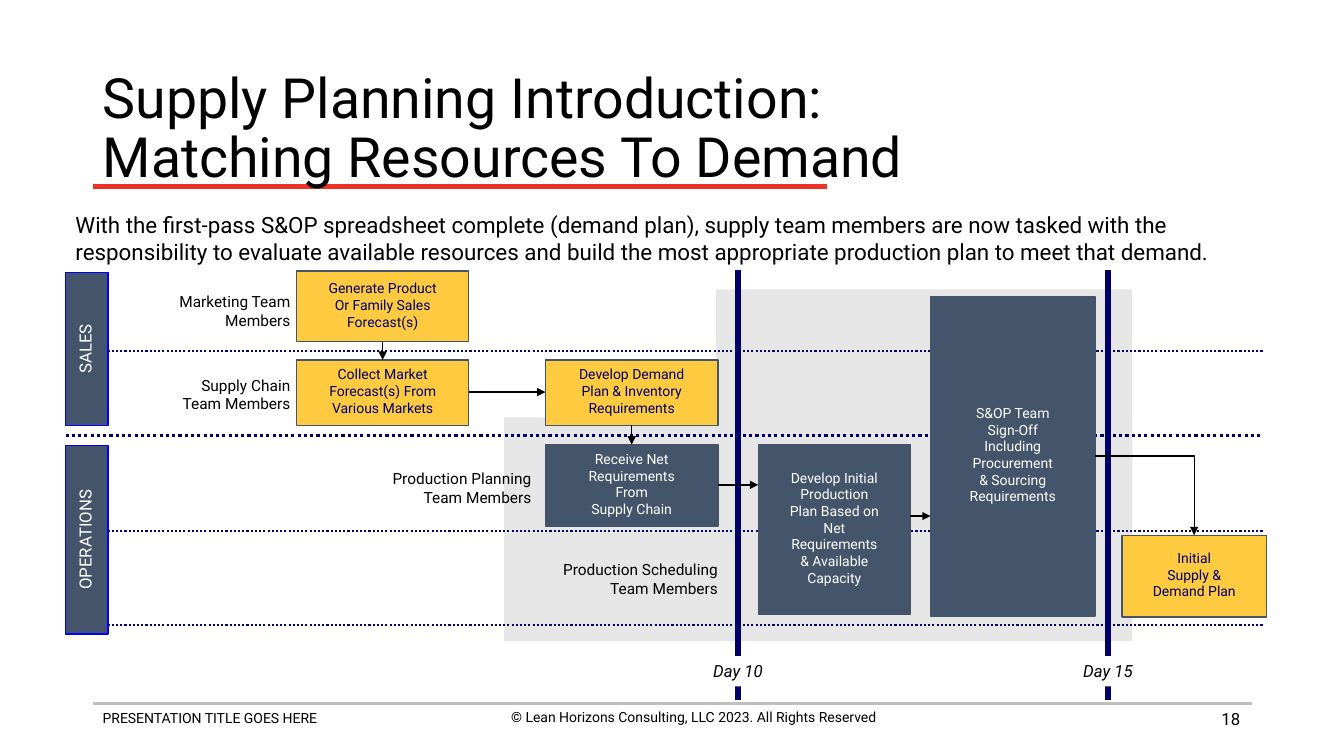
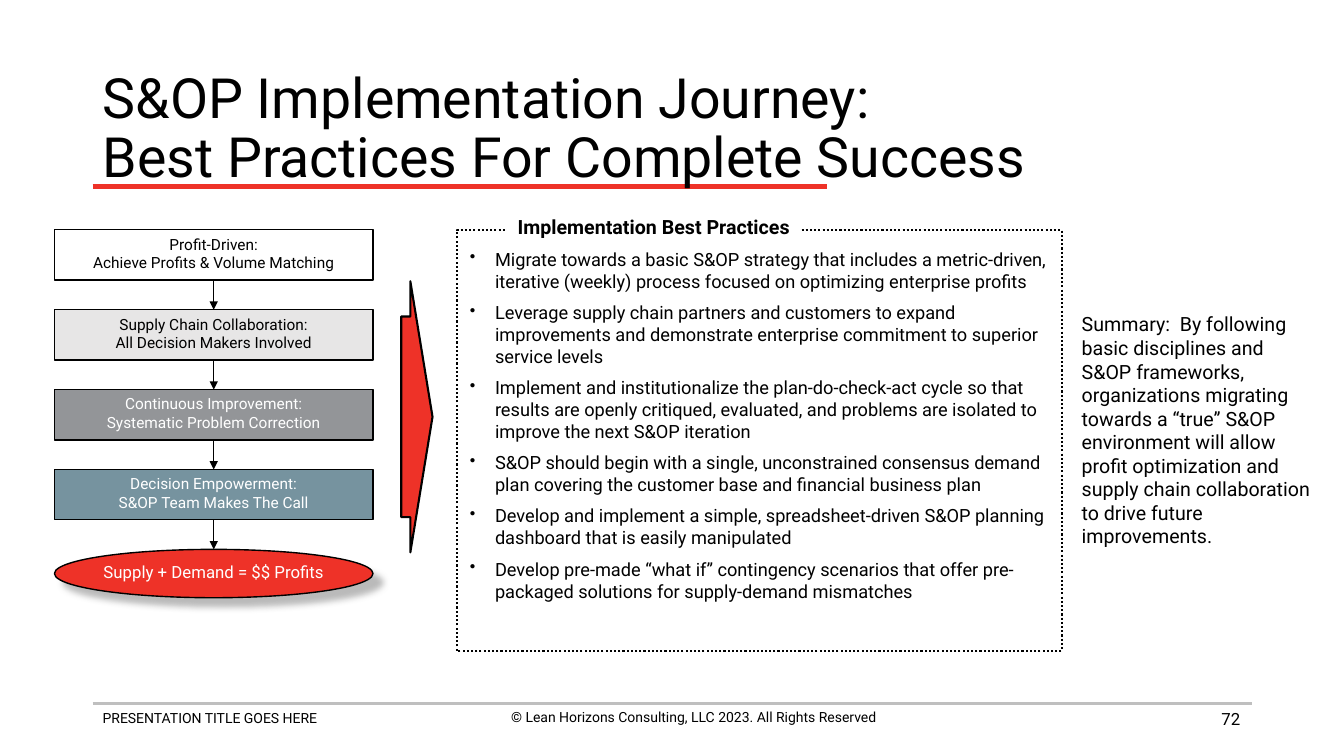
from dataclasses import dataclass

from lxml import etree
from pptx import Presentation
from pptx.dml.color import RGBColor
from pptx.enum.dml import MSO_LINE
from pptx.enum.shapes import MSO_CONNECTOR, MSO_SHAPE
from pptx.enum.text import MSO_ANCHOR, PP_ALIGN
from pptx.oxml.ns import qn
from pptx.util import Inches, Pt

LEFT, CENTER, RIGHT = PP_ALIGN.LEFT, PP_ALIGN.CENTER, PP_ALIGN.RIGHT
TOP, MIDDLE = MSO_ANCHOR.TOP, MSO_ANCHOR.MIDDLE
RECTANGLE, OVAL, ARROW = MSO_SHAPE.RECTANGLE, MSO_SHAPE.OVAL, MSO_SHAPE.RIGHT_ARROW
STRAIGHT, ELBOW = MSO_CONNECTOR.STRAIGHT, MSO_CONNECTOR.ELBOW
DOTTED = MSO_LINE.ROUND_DOT


@dataclass(frozen=True)
class Theme:
    font: str = "Roboto"
    black: str = "000000"
    white: str = "FFFFFF"
    red: str = "EE3228"
    navy: str = "000066"
    blue: str = "0000FF"
    slate: str = "44546A"
    yellow: str = "FDCA40"
    pale: str = "E7E6E6"
    gray: str = "939598"
    steel: str = "76939F"
    rule: str = "BFBFBF"
    shadow: str = "777777"
    title: float = 39.6
    intro: float = 16
    heading: float = 14
    bullet: float = 13
    label: float = 12
    step: float = 11
    small: float = 10
    line_height: float = 1.17


THEME = Theme()
WIDTH, HEIGHT = 13.33, 7.5
MARGIN, CONTENT_WIDTH = 0.92, 11.5

FOOTER = "PRESENTATION TITLE GOES HERE"
COPYRIGHT = "© Lean Horizons Consulting, LLC 2023. All Rights Reserved"

SUPPLY_TITLE = "Supply Planning Introduction:\vMatching Resources To Demand"
SUPPLY_INTRO = (
    "With the first-pass S&OP spreadsheet complete (demand plan), supply team members "
    "are now tasked with the responsibility to evaluate available resources and build "
    "the most appropriate production plan to meet that demand."
)
LANE_SPAN = (0.65, 12.53)
LANE_RULES = [(3.48, 1.5), (4.32, 2.25), (5.27, 1.5), (6.2, 1.5)]
LANE_BARS = [("SALES", 2.7, 1.52), ("OPERATIONS", 4.42, 1.87)]
LANE_BAR_WIDTH = 0.42
PANELS = [(7.1, 2.87, 4.13, 2.4), (5, 4.14, 6.23, 2.22)]
TEAM_LABELS = [
    ("Marketing Team\nMembers", 2.98, 2.85),
    ("Supply Chain\nTeam Members", 2.98, 3.68),
    ("Production Planning\nTeam Members", 5.37, 4.61),
    ("Production Scheduling\nTeam Members", 7.22, 5.51),
]
TEAM_LABEL_SIZE = (2.4, 0.47)
COLUMNS = {
    "forecast": (2.94, 1.71),
    "demand": (5.41, 1.71),
    "production": (7.52, 1.51),
    "approval": (9.23, 1.63),
    "result": (11.13, 1.43),
}
ROWS = {
    "marketing": (2.69, 0.7),
    "chain": (3.57, 0.65),
    "planning": (4.41, 0.81),
    "scheduling": (5.31, 0.81),
    "operations": (4.41, 1.68),
    "all": (2.94, 3.17),
}
SALES_STYLE = (THEME.yellow, THEME.navy)
OPERATIONS_STYLE = (THEME.slate, THEME.white)
ACTIVITIES = {
    "generate": ("forecast", "marketing", SALES_STYLE,
                 "Generate Product\nOr Family Sales\nForecast(s)"),
    "collect": ("forecast", "chain", SALES_STYLE,
                "Collect Market\nForecast(s) From\nVarious Markets"),
    "develop": ("demand", "chain", SALES_STYLE,
                "Develop Demand\nPlan & Inventory\nRequirements"),
    "receive": ("demand", "planning", OPERATIONS_STYLE,
                "Receive Net\nRequirements\nFrom\nSupply Chain"),
    "initial": ("production", "operations", OPERATIONS_STYLE,
                "Develop Initial\nProduction\nPlan Based on\nNet\nRequirements\n& Available\nCapacity"),
    "approve": ("approval", "all", OPERATIONS_STYLE,
                "S&OP Team\nSign-Off\nIncluding\nProcurement\n& Sourcing\nRequirements"),
    "plan": ("result", "scheduling", SALES_STYLE, "Initial\nSupply &\nDemand Plan"),
}
DOWN_LINKS = [("generate", "collect"), ("develop", "receive")]
RIGHT_LINKS = [("collect", "develop", 3.89), ("receive", "initial", 4.81),
               ("initial", "approve", 5.12)]
ELBOW_LINK = ("approve", "plan")
MILESTONES = [("Day 10", 7.32), ("Day 15", 10.99)]

JOURNEY_TITLE = "S&OP Implementation Journey:\vBest Practices For Complete Success"
STEPS = [
    ("Profit-Driven:\nAchieve Profits & Volume Matching", THEME.white, THEME.black),
    ("Supply Chain Collaboration:\nAll Decision Makers Involved", THEME.pale, THEME.black),
    ("Continuous Improvement:\nSystematic Problem Correction", THEME.gray, THEME.white),
    ("Decision Empowerment:\nS&OP Team Makes The Call", THEME.steel, THEME.white),
]
OUTCOME = "Supply + Demand = $$ Profits"
STEP_LEFT, STEP_WIDTH, STEP_HEIGHT = 0.54, 3.16, 0.5
STEP_TOP, OUTCOME_TOP, OUTCOME_HEIGHT = 2.28, 5.45, 0.48
PRACTICES_HEADING = "Implementation Best Practices"
PRACTICES = [
    "Migrate towards a basic S&OP strategy that includes a metric-driven, iterative "
    "(weekly) process focused on optimizing enterprise profits",
    "Leverage supply chain partners and customers to expand improvements and "
    "demonstrate enterprise commitment to superior service levels",
    "Implement and institutionalize the plan-do-check-act cycle so that results are "
    "openly critiqued, evaluated, and problems are isolated to improve the next S&OP iteration",
    "S&OP should begin with a single, unconstrained consensus demand plan covering the "
    "customer base and financial business plan",
    "Develop and implement a simple, spreadsheet-driven S&OP planning dashboard that "
    "is easily manipulated",
    "Develop pre-made “what if” contingency scenarios that offer pre-packaged "
    "solutions for supply-demand mismatches",
]
SUMMARY = (
    "Summary:\u0020 By following basic disciplines and S&OP frameworks, organizations "
    "migrating towards a “true” S&OP environment will allow profit optimization and "
    "supply chain collaboration to drive future improvements."
).replace("\u0020 ", "  ")


def rgb(color):
    return RGBColor.from_string(color)


def add_child(parent, tag, **attributes):
    return etree.SubElement(parent, qn(tag), attributes)


def write(shape, paragraphs, size, color=THEME.black, align=LEFT, anchor=TOP, wrap=True,
          spacing=None, gap=0, bold=False, italic=False, bullets=False):
    frame = shape.text_frame
    frame.word_wrap = wrap
    frame.vertical_anchor = anchor
    for index, text in enumerate(paragraphs):
        paragraph = frame.paragraphs[0] if index == 0 else frame.add_paragraph()
        paragraph.text = text
        paragraph.alignment = align
        if bullets:
            properties = paragraph._p.get_or_add_pPr()
            properties.set("marL", str(Inches(0.25)))
            properties.set("indent", str(-Inches(0.25)))
            add_child(properties, "a:buSzPct", val="90000")
            add_child(properties, "a:buChar", char="•")
        if spacing:
            paragraph.line_spacing = spacing
        if gap and index:
            paragraph.space_before = Pt(round(gap * size * THEME.line_height, 1))
        font = paragraph.font
        font.name, font.size, font.color.rgb = THEME.font, Pt(size), rgb(color)
        font.bold, font.italic = bold, italic


def add_text(slide, box, text, size, **style):
    shape = slide.shapes.add_textbox(*map(Inches, box))
    write(shape, text.split("\n"), size, **style)
    return shape


def add_box(slide, box, fill=None, line=None, line_width=1, kind=RECTANGLE):
    shape = slide.shapes.add_shape(kind, *map(Inches, box))
    shape.shadow.inherit = False
    if fill:
        shape.fill.solid()
        shape.fill.fore_color.rgb = rgb(fill)
    else:
        shape.fill.background()
    if line:
        shape.line.color.rgb = rgb(line)
        shape.line.width = Pt(line_width)
    else:
        shape.line.fill.background()
    return shape


def write_box(shape, text, size, color, anchor=MIDDLE, bold=False):
    write(shape, text.split("\n"), size, color, CENTER, anchor, wrap=False,
          spacing=0.8, gap=0.2, bold=bold)


def add_line(slide, start, end, color=THEME.black, width=1, dash=None, arrow=False,
             kind=STRAIGHT):
    connector = slide.shapes.add_connector(kind, *map(Inches, (*start, *end)))
    connector.line.color.rgb = rgb(color)
    connector.line.width = Pt(width)
    if dash:
        connector.line.dash_style = dash
    if arrow:
        add_child(connector.line._get_or_add_ln(), "a:tailEnd", type="triangle")
    properties = connector._element.spPr
    add_child(properties, "a:effectLst")
    if kind == ELBOW:
        properties.find(qn("a:prstGeom")).set("prst", "bentConnector2")


def add_shadow(shape):
    effects = shape._element.spPr.find(qn("a:effectLst"))
    shadow = add_child(effects, "a:outerShdw", blurRad=str(Pt(5)), dist=str(Pt(8.5)),
                       dir="2700000", algn="ctr", rotWithShape="0")
    color = add_child(shadow, "a:srgbClr", val=THEME.shadow)
    add_child(color, "a:alpha", val="50000")


def add_slide(presentation, title, number):
    slide = presentation.slides.add_slide(presentation.slide_layouts[6])
    right = MARGIN + CONTENT_WIDTH
    add_line(slide, (MARGIN, 6.98), (right, 6.98), THEME.rule, 2)
    add_text(slide, (MARGIN, 6.99, 4.56, 0.44), FOOTER, THEME.small)
    add_text(slide, (4.6, 6.98, 4.56, 0.44), COPYRIGHT, THEME.small, align=CENTER)
    add_text(slide, (9.4, 6.93, 3, 0.4), str(number), THEME.label, align=RIGHT, anchor=MIDDLE)
    add_line(slide, (MARGIN, 1.85), (8.2, 1.85), THEME.red, 3)
    add_text(slide, (MARGIN, 0.74, CONTENT_WIDTH, 1.1), title, THEME.title,
             anchor=MIDDLE, spacing=0.9)
    return slide


def build_supply(presentation):
    slide = add_slide(presentation, SUPPLY_TITLE, 18)
    lane_left, lane_right = LANE_SPAN
    for panel in PANELS:
        add_box(slide, panel, THEME.pale)
    for y, width in LANE_RULES:
        add_line(slide, (lane_left, y), (lane_right, y), THEME.navy, width, DOTTED)
    label_width, label_height = TEAM_LABEL_SIZE
    for text, right, top in TEAM_LABELS:
        add_text(slide, (right - label_width, top, label_width, label_height), text,
                 THEME.step, align=RIGHT)

    boxes = {}
    for name, (column, row, (fill, color), text) in ACTIVITIES.items():
        (left, width), (top, height) = COLUMNS[column], ROWS[row]
        boxes[name] = (left, top, width, height)
        write_box(add_box(slide, boxes[name], fill, THEME.slate), text, THEME.small, color)

    for text, x in MILESTONES:
        add_line(slide, (x, 2.68), (x, 6.94), THEME.navy, 4.5)
        tag = add_box(slide, (x - 0.385, 6.51, 0.77, 0.3), THEME.white)
        write(tag, [text], THEME.label, align=CENTER, wrap=False, italic=True)

    for source, target in DOWN_LINKS:
        left, top, width, height = boxes[source]
        x = left + width / 2
        add_line(slide, (x, top + height), (x, boxes[target][1]), arrow=True)
    for source, target, y in RIGHT_LINKS:
        left, _, width, _ = boxes[source]
        add_line(slide, (left + width, y), (boxes[target][0], y), arrow=True)
    left, top, width, height = boxes[ELBOW_LINK[0]]
    target_left, target_top, target_width, _ = boxes[ELBOW_LINK[1]]
    add_line(slide, (left + width, top + height / 2),
             (target_left + target_width / 2, target_top), arrow=True, kind=ELBOW)

    for text, top, length in LANE_BARS:
        center_x, center_y = lane_left + LANE_BAR_WIDTH / 2, top + length / 2
        bar = add_box(slide, (center_x - length / 2, center_y - LANE_BAR_WIDTH / 2,
                              length, LANE_BAR_WIDTH), THEME.slate, THEME.blue)
        bar.rotation = 270
        write_box(bar, text, THEME.label, THEME.white)
    add_text(slide, (lane_left, 2.05, lane_right - lane_left, 0.91), SUPPLY_INTRO, THEME.intro)


def build_journey(presentation):
    slide = add_slide(presentation, JOURNEY_TITLE, 72)
    add_text(slide, (10.63, 3.05, 2.53, 2.46), SUMMARY, THEME.heading)
    practices = add_text(slide, (4.58, 2.42, 5.95, 3.94), "\n".join(PRACTICES),
                         THEME.bullet, gap=0.45, bullets=True)
    frame = practices.text_frame
    frame.margin_left = frame.margin_right = Inches(0.08)
    frame.margin_top = frame.margin_bottom = Inches(0.04)

    arrow = add_box(slide, (3.98, 2.79, 0.31, 2.69), THEME.red, THEME.black, 1.5, ARROW)
    arrow.adjustments[0], arrow.adjustments[1] = 0.74, 0.71

    pitch = (OUTCOME_TOP - STEP_TOP) / len(STEPS)
    center = STEP_LEFT + STEP_WIDTH / 2
    for index, (text, fill, color) in enumerate(STEPS):
        top = STEP_TOP + index * pitch
        step = add_box(slide, (STEP_LEFT, top, STEP_WIDTH, STEP_HEIGHT), fill, THEME.black)
        write_box(step, text, THEME.step, color)
        add_line(slide, (center, top + STEP_HEIGHT), (center, top + pitch), arrow=True)
    outcome = add_box(slide, (STEP_LEFT, OUTCOME_TOP, STEP_WIDTH, OUTCOME_HEIGHT),
                      THEME.red, THEME.black, kind=OVAL)
    add_shadow(outcome)
    write_box(outcome, OUTCOME, THEME.label, THEME.white)

    border = add_box(slide, (4.53, STEP_TOP, 6, 4.18), line=THEME.black, line_width=1.5)
    border.line.dash_style = DOTTED
    heading = add_box(slide, (5.02, 2.13, 2.93, 0.32), THEME.white)
    write_box(heading, PRACTICES_HEADING, THEME.heading, THEME.black, TOP, bold=True)


def main():
    presentation = Presentation()
    presentation.slide_width, presentation.slide_height = Inches(WIDTH), Inches(HEIGHT)
    build_supply(presentation)
    build_journey(presentation)
    presentation.save("out.pptx")


if __name__ == "__main__":
    main()
